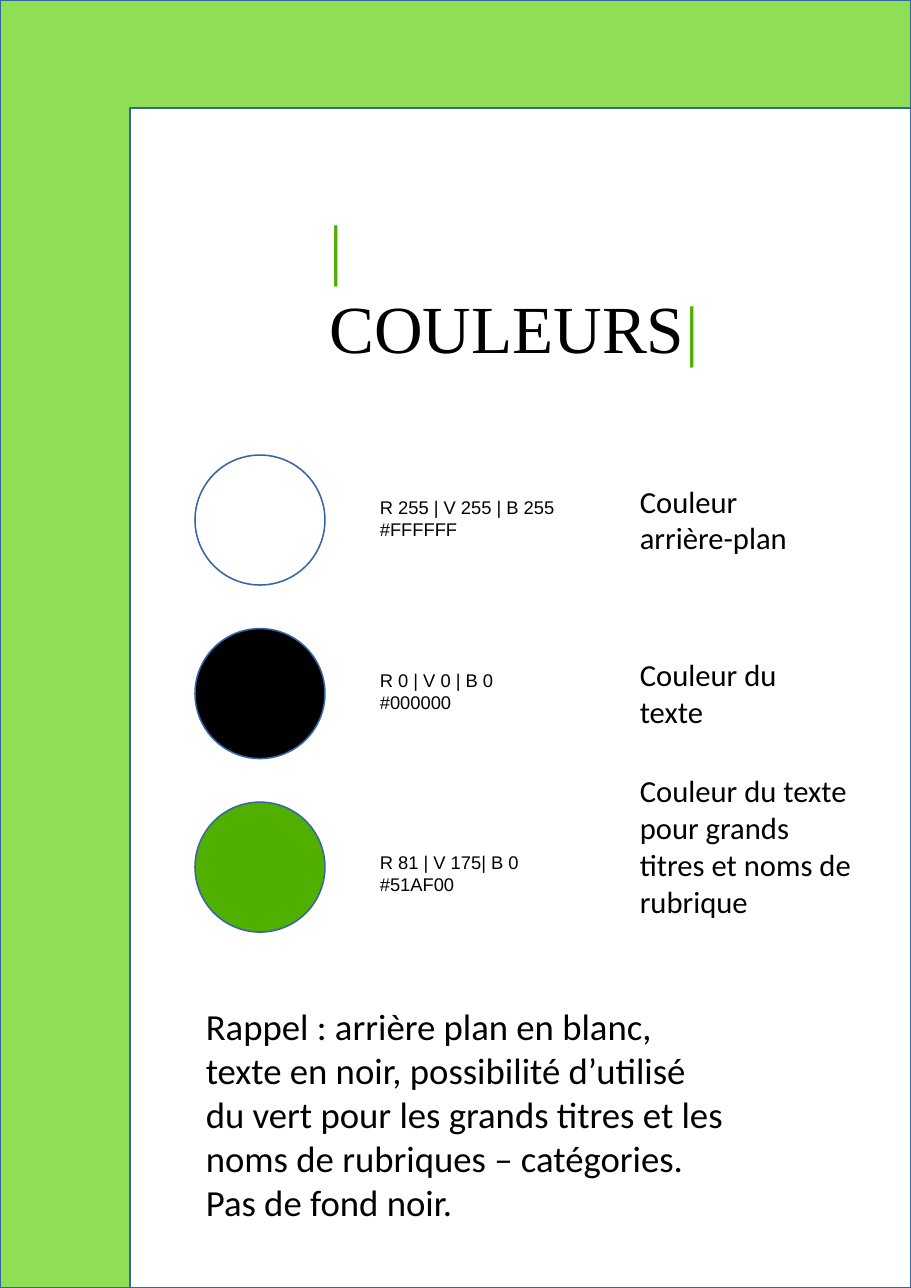
from dataclasses import dataclass

from pptx import Presentation, util as u
from pptx.dml.color import RGBColor
from pptx.enum import shapes, text

TITLE = [("|", "green"), ("COULEURS", "black"), ("|", "green")]
# fill, code lines, code offset, use, use offset, use size (offsets from the circle top)
SWATCHES = [
    ("white", "R 255 | V 255 | B 255\n#FFFFFF", 0.32,
     "Couleur arrière-plan", 0.2, (1.77, 0.86)),
    ("black", "R 0 | V 0 | B 0\n#000000", 0.32,
     "Couleur du texte", 0.2, (1.77, 0.86)),
    ("green", "R 81 | V 175| B 0\n#51AF00", 0.4,
     "Couleur du texte pour grands titres et noms de rubrique", -0.32, (2.17, 2)),
]
REMINDER = ("Rappel\u00a0: arrière plan en blanc, texte en noir, possibilité d’utilisé "
            "du vert pour les grands titres et les noms de rubriques – catégories. "
            "Pas de fond noir.")


@dataclass(frozen=True)
class Theme:
    white: str = "FFFFFF"
    black: str = "000000"
    green: str = "51AF00"
    band: str = "8FDE53"
    outline: str = "3465A4"
    title: tuple = ("Times New Roman", 44)
    code: tuple = ("Arial", 12)
    use: tuple = ("Calibri", 20)
    reminder: tuple = ("Calibri", 24)


THEME = Theme()
WIDTH, HEIGHT = 8.27, 11.69
PAGE_LEFT, PAGE_TOP = 1.18, 0.98
CIRCLE_COLUMN, CODE_COLUMN, USE_COLUMN = 1.77, 3.35, 5.71
CIRCLE, FIRST_ROW, ROW_STEP = 1.18, 4.13, 1.575


def color(name):
    return RGBColor.from_string(getattr(THEME, name))


def inches(*lengths):
    return [u.Inches(length) for length in lengths]


def add_outlined(slide, kind, box, fill):
    shape = slide.shapes.add_shape(kind, *inches(*box))
    shape.shadow.inherit = False
    shape.fill.solid()
    shape.fill.fore_color.rgb = color(fill)
    shape.line.color.rgb = color("outline")
    shape.line.width = u.Pt(1)


def format_run(run, style, ink):
    run.font.name, size = style
    run.font.size = u.Pt(size)
    run.font.color.rgb = color(ink)


def add_text(slide, box, words, style):
    frame = slide.shapes.add_textbox(*inches(*box)).text_frame
    frame.word_wrap = True
    frame.text = words
    for paragraph in frame.paragraphs:
        for run in paragraph.runs:
            format_run(run, style, "black")


def place_title(slide):
    title = slide.shapes.title
    title.left, title.top, title.width, title.height = inches(2.89, 1.81, 3.6, 1.45)
    frame = title.text_frame
    frame.word_wrap = True
    frame.auto_size = text.MSO_AUTO_SIZE.NONE
    frame.vertical_anchor = text.MSO_ANCHOR.TOP
    paragraph = frame.paragraphs[0]
    paragraph.alignment = text.PP_ALIGN.LEFT
    for words, ink in TITLE:
        run = paragraph.add_run()
        run.text = words
        format_run(run, THEME.title, ink)
    # Bring the title in front of the page panels
    title.element.getparent().append(title.element)


def main():
    presentation = Presentation()
    presentation.slide_width, presentation.slide_height = inches(WIDTH, HEIGHT)
    slide = presentation.slides.add_slide(presentation.slide_layouts[5])

    rectangle, oval = shapes.MSO_SHAPE.RECTANGLE, shapes.MSO_SHAPE.OVAL
    add_outlined(slide, rectangle, (0, 0, WIDTH, HEIGHT), "band")
    add_outlined(slide, rectangle, (PAGE_LEFT, PAGE_TOP, WIDTH - PAGE_LEFT,
                                    HEIGHT - PAGE_TOP), "white")
    place_title(slide)

    for row, (fill, code, code_offset, use, use_offset, use_size) in enumerate(SWATCHES):
        top = FIRST_ROW + row * ROW_STEP
        add_outlined(slide, oval, (CIRCLE_COLUMN, top, CIRCLE, CIRCLE), fill)
        add_text(slide, (CODE_COLUMN, top + code_offset, 2.17, 0.47), code, THEME.code)
        add_text(slide, (USE_COLUMN, top + use_offset, *use_size), use, THEME.use)

    add_text(slide, (CIRCLE_COLUMN, 9.06, 4.92, 2.4), REMINDER, THEME.reminder)
    presentation.save("out.pptx")


if __name__ == "__main__":
    main()
